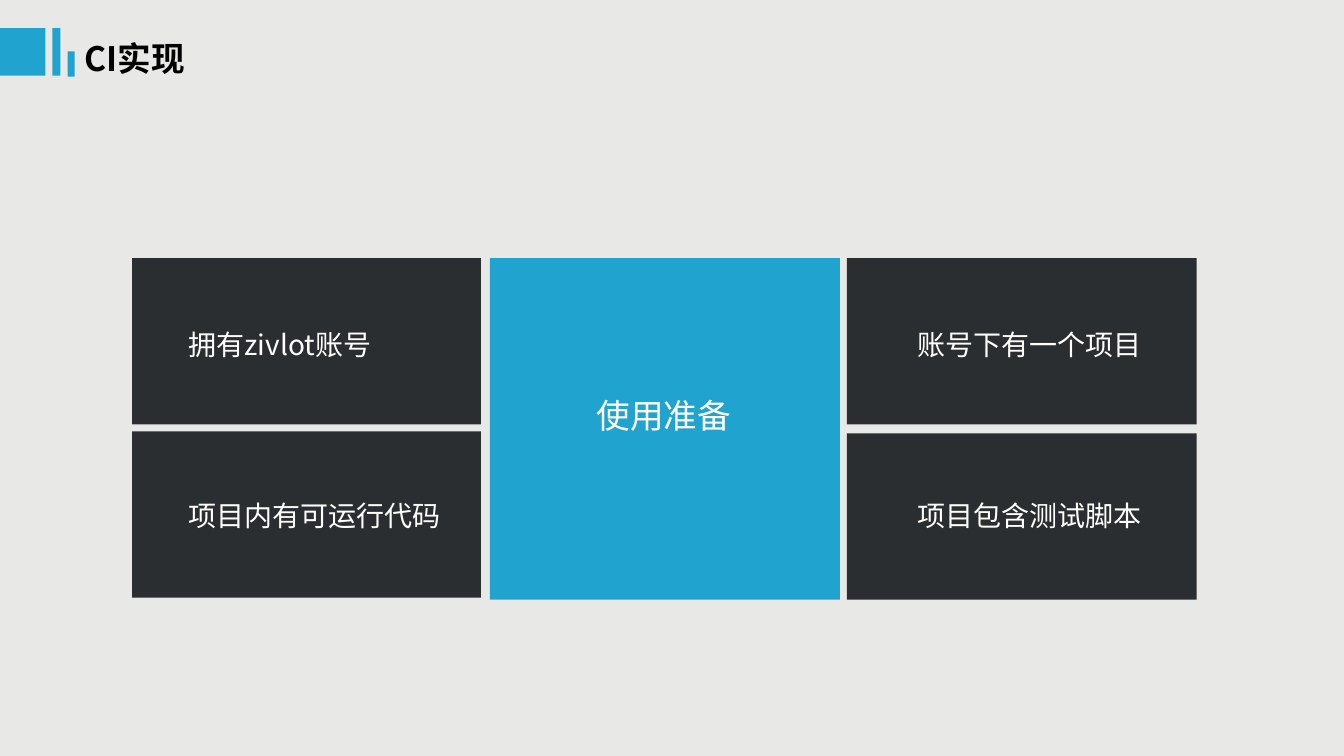
import pptx
import pptx.dml.color
import pptx.enum.shapes
import pptx.enum.text
import pptx.oxml.ns
import pptx.util
from dataclasses import dataclass
from lxml import etree
from pptx.util import Inches


@dataclass(frozen=True)
class Theme:
    background: str = "E8E8E6"
    accent: str = "21A3D0"
    dark: str = "2B2E30"
    light_text: str = "FFFFFF"
    title_text: str = "000000"
    font: str = "Noto Sans CJK SC"
    heading_size: int = 24
    label_size: int = 20


THEME = Theme()
ALIGN = pptx.enum.text.PP_ALIGN


def rgb(value):
    return pptx.dml.color.RGBColor.from_string(value)


def add_block(slide, left, top, width, height, color):
    shape = slide.shapes.add_shape(
        pptx.enum.shapes.MSO_SHAPE.RECTANGLE,
        Inches(left), Inches(top), Inches(width), Inches(height))
    shape.shadow.inherit = False
    shape.fill.solid()
    shape.fill.fore_color.rgb = rgb(color)
    shape.line.fill.background()


def write_text(shape, text, size, color, bold=False, align=ALIGN.LEFT):
    frame = shape.text_frame
    frame.text = text
    frame.word_wrap = True
    frame.vertical_anchor = pptx.enum.text.MSO_ANCHOR.TOP
    paragraph = frame.paragraphs[0]
    paragraph.alignment = align
    paragraph.line_spacing = 1.0
    paragraph.space_before = pptx.util.Pt(0)
    font = paragraph.runs[0].font
    font.size = pptx.util.Pt(size)
    font.bold = bold
    font.color.rgb = rgb(color)
    font.name = THEME.font
    # East Asian typeface for the Chinese characters
    properties = paragraph.runs[0]._r.get_or_add_rPr()
    etree.SubElement(properties, pptx.oxml.ns.qn("a:ea"), typeface=THEME.font)


def add_label(slide, left, top, width, height, text, size, align=ALIGN.LEFT):
    box = slide.shapes.add_textbox(
        Inches(left), Inches(top), Inches(width), Inches(height))
    write_text(box, text, size, THEME.light_text, align=align)


def add_header(slide, left, top, text):
    # Accent bars: offset x, offset y, width, height
    for x, y, width, height in ((0, 0, 0.45, 0.47),
                                (0.52, 0, 0.08, 0.47),
                                (0.67, 0.23, 0.07, 0.25)):
        add_block(slide, left + x, top + y, width, height, THEME.accent)
    # Title
    title = slide.shapes.title
    title.left, title.top = Inches(left + 0.74), Inches(top + 0.05)
    title.width, title.height = Inches(2.14), Inches(0.5)
    write_text(title, text, THEME.heading_size, THEME.title_text, bold=True)


def add_card_column(slide, left, top, width, row_pitch, indent, labels):
    for row, text in enumerate(labels):
        add_block(slide, left, top + row * row_pitch, width, 1.65, THEME.dark)
        add_label(slide, left + indent, top + 0.64 + row * 1.7, 2.83, 0.44,
                  text, THEME.label_size)


def add_center_panel(slide, left, top, width, height, text):
    add_block(slide, left, top, width, height, THEME.accent)
    add_label(slide, left + 0.36, top + 1.31, 2.73, 0.5, text,
              THEME.heading_size, ALIGN.CENTER)


def build_preparation_slide(presentation):
    slide = presentation.slides.add_slide(presentation.slide_layouts[5])
    slide.background.fill.solid()
    slide.background.fill.fore_color.rgb = rgb(THEME.background)
    add_header(slide, 0, 0.28, "CI实现")

    # Requirements on both sides of the central panel
    top = 2.56
    add_center_panel(slide, 4.86, top, 3.47, 3.39, "使用准备")
    add_card_column(slide, 1.31, top, 3.46, 1.72, 0.46,
                    ("拥有zivlot账号", "项目内有可运行代码"))
    add_card_column(slide, 8.4, top, 3.47, 1.74, 0.6,
                    ("账号下有一个项目", "项目包含测试脚本"))


def main():
    presentation = pptx.Presentation()
    presentation.slide_width = Inches(13.33)
    presentation.slide_height = Inches(7.5)
    build_preparation_slide(presentation)
    presentation.save("out.pptx")


if __name__ == "__main__":
    main()
